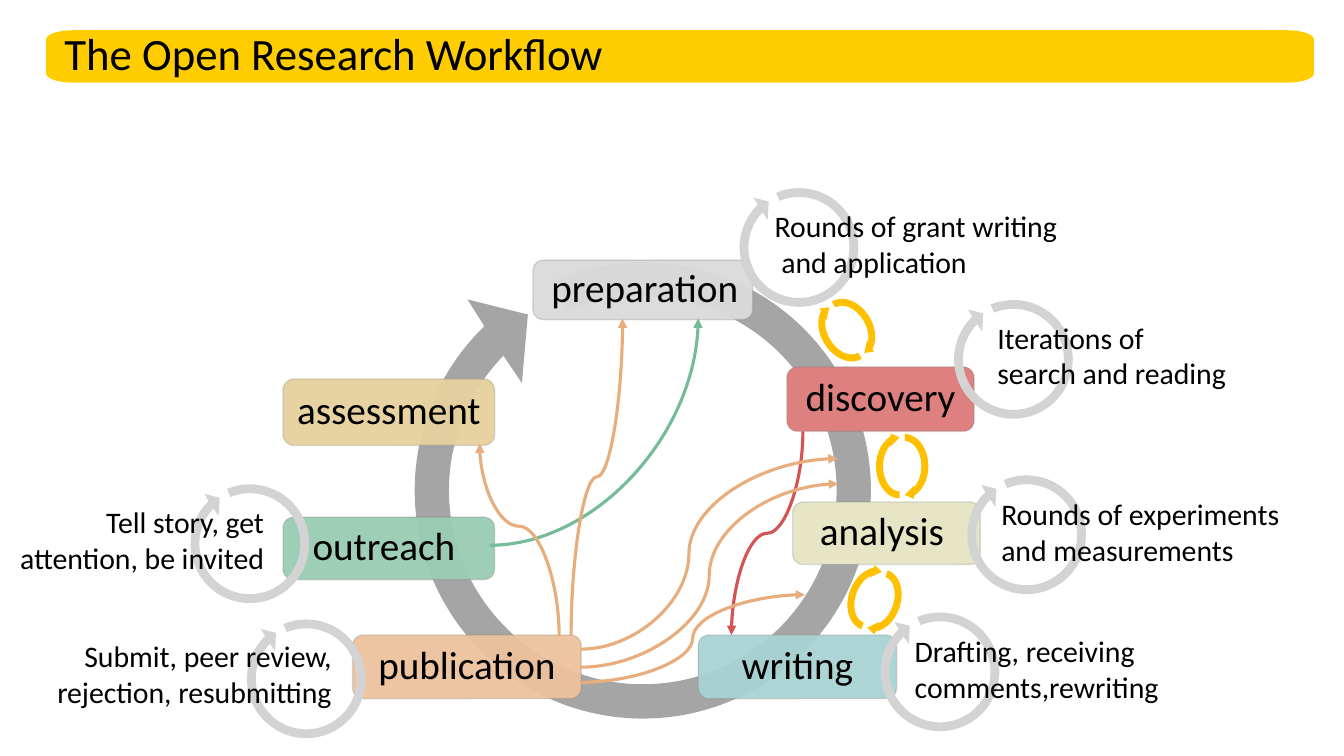
import math
import pptx
import pptx.util
import pptx.dml.color
import pptx.enum.shapes
import pptx.enum.text
import pptx.oxml.ns
import lxml.etree

Pt = pptx.util.Pt
ALIGN = pptx.enum.text.PP_ALIGN
ANCHOR = pptx.enum.text.MSO_ANCHOR
FONT = "Calibri"

TITLE = "The Open Research Workflow"
BANNER = (33, 21.6, 906, 37.4)
BANNER_CORNER = (18.7, 6.5)
STAGES = [
    ("preparation", (380.9, 185.8, 157, 42.5), "DBDBDB", 95, 1.4),
    ("discovery", (562.3, 262.1, 133.9, 46.1), "DF8080", 100, 0),
    ("analysis", (566.6, 358.6, 133.9, 44.6), "E6E6C7", 100, -3.2),
    ("writing", (499, 453.6, 141.8, 45.4), "A9D3D3", 95, 0),
    ("publication", (252, 453.6, 163.4, 45.4), "EDC29E", 95, 0),
    ("outreach", (202.3, 369.4, 151.2, 44.6), "99CCB3", 95, -3.6),
    ("assessment", (202.3, 270.7, 151.2, 47.5), "E6D19E", 95, 0),
]
LABEL_LIFT = 2.2
NOTE_HEIGHT = 65.5
NOTES = [
    (["Rounds of grant writing", " and application"], (546.5, 144.7, 254), ALIGN.LEFT, (571, 176.8)),
    (["Iterations of", "search and reading"], (705.6, 224.6, 209), ALIGN.LEFT, (724.3, 256.7)),
    (["Rounds of experiments and measurements"], (708.5, 350.6, 244), ALIGN.LEFT, (733.7, 382)),
    (["Drafting, receiving comments,rewriting"], (646.6, 448.6, 226.8), ALIGN.LEFT, (671.8, 479.9)),
    (["Submit, peer review, rejection, resubmitting"], (5.8, 452.2, 238.3), ALIGN.RIGHT, (218.9, 484.9)),
    (["Tell story, get attention, be invited"], (0, 356.4, 195.8), ALIGN.RIGHT, (178.6, 388.4)),
]
CYCLE_CENTER = (459.4, 350.3)
EXCHANGES = [((605.2, 235.8), -32.3), ((644.8, 333), 0), ((625, 428.4), 19.7)]
GREEN, RED, ORANGE = "76BB98", "D45454", "E7AD7D"
FLOWS = [
    ((349.9, 389.5), (499, 227.5), GREEN, "bend", None),
    ((573.8, 308.2), (522.7, 453.6), RED, "vertical", 0.5),
    ((414.7, 476.6), (599, 345.6), ORANGE, "horizontal", 0.5),
    ((415.4, 463.7), (598.7, 327.6), ORANGE, "horizontal", 0.42),
    ((408.2, 453.6), (445, 227.5), ORANGE, "vertical", 0.5),
    ((399.6, 454.3), (342.7, 316.8), ORANGE, "vertical", 0.57),
    ((414.7, 487.4), (575.3, 424.8), ORANGE, "horizontal", 0.5),
]


def color(hex_value):
    return pptx.dml.color.RGBColor.from_string(hex_value)


def apply(target, formats):
    for name, value in formats.items():
        setattr(target, name, value)


def add_xml(parent, tag, **attributes):
    return lxml.etree.SubElement(parent, pptx.oxml.ns.qn(tag), attributes)


def set_alpha(shape_color, percent):
    add_xml(shape_color, "a:alpha", val=str(percent * 1000))


def paint(shape, fill):
    shape.shadow.inherit = False
    shape.fill.solid()
    shape.fill.fore_color.rgb = color(fill)
    shape.line.fill.background()


def write(shape, lines, size, align, frame_format, paragraph_format=None):
    frame = shape.text_frame
    apply(frame, {"word_wrap": True, **frame_format})
    for index, line in enumerate(lines):
        paragraph = frame.add_paragraph() if index else frame.paragraphs[0]
        paragraph.text = line
        apply(paragraph, {"alignment": align, **(paragraph_format or {})})
        apply(paragraph.font, {"name": FONT, "size": Pt(size), "bold": False})
        paragraph.font.color.rgb = color("000000")


def arc(center, radii, start, end):
    pieces = math.ceil(abs(end - start) / 90)
    step = math.radians((end - start) / pieces)
    pull = 4 / 3 * math.tan(step / 4)

    def at(angle, tangent, curved=True):
        c, s = math.cos(angle), math.sin(angle)
        return (center[0] + radii[0] * (c - tangent * s),
                center[1] + radii[1] * (s + tangent * c), curved)

    begin = math.radians(start)
    points = [at(begin, 0, False)]
    for piece in range(pieces):
        a = begin + piece * step
        points += [at(a, pull), at(a + step, -pull), at(a + step, 0)]
    return points


def arrow_outline(outer, inner, outer_span, inner_span, head):
    head_points = [(x, y, False) for x, y in head]
    return arc((0, 0), outer, *outer_span) + head_points + arc((0, 0), inner, *inner_span)


def place(points, center, turn=0):
    c, s = math.cos(math.radians(turn)), math.sin(math.radians(turn))
    return [(center[0] + x * c - y * s, center[1] + x * s + y * c, curved) for x, y, curved in points]


def draw_outline(points, fill):
    corners = [(Pt(x), Pt(y)) for x, y, curved in points]
    builder = slide.shapes.build_freeform(*corners[0], scale=1.0)
    builder.add_line_segments(corners[1:], close=False)
    outline = builder.convert_to_shape()
    paint(outline, fill)
    route = outline.element.spPr.xpath(".//a:path")[0]
    segments = route.xpath("./a:lnTo")
    bends = [segment for segment, point in zip(segments, points[1:]) if point[2]]
    for first in range(0, len(bends), 3):
        curve = add_xml(route, "a:cubicBezTo")
        bends[first].addprevious(curve)
        for bend in bends[first:first + 3]:
            curve.append(bend[0])
            route.remove(bend)
    add_xml(route, "a:close")


def draw_flow(start, end, stroke, route, bend):
    dx, dy = end[0] - start[0], end[1] - start[1]
    turn = 0
    if route == "vertical":
        turn = 90 if dy > 0 else 270
        dx, dy = abs(dy), -dx if dy > 0 else dx
    mid_x, mid_y = (start[0] + end[0]) / 2, (start[1] + end[1]) / 2
    flow = slide.shapes.add_connector(
        pptx.enum.shapes.MSO_CONNECTOR.CURVE,
        Pt(mid_x - dx / 2), Pt(mid_y - dy / 2), Pt(mid_x + dx / 2), Pt(mid_y + dy / 2))
    flow.line.color.rgb = color(stroke)
    flow.line.width = Pt(2.25)
    properties = flow.element.spPr
    properties.xpath("./a:xfrm")[0].set("rot", str(turn * 60000))
    geometry = properties.xpath("./a:prstGeom")[0]
    if route == "bend":
        geometry.set("prst", "curvedConnector2")
    else:
        adjustments = geometry.xpath("./a:avLst")[0]
        add_xml(adjustments, "a:gd", name="adj1", fmla=f"val {round(bend * 100000)}")
    add_xml(properties.xpath("./a:ln")[0], "a:tailEnd", type="triangle")
    add_xml(properties, "a:effectLst")


presentation = pptx.Presentation()
apply(presentation, {"slide_width": Pt(960.5), "slide_height": Pt(540)})
slide = presentation.slides.add_slide(presentation.slide_layouts[5])

LOOP_SPANS = ((247.3, 586), (584, 247.5))
cycle = arrow_outline((163, 163), (138.5, 138.5), *LOOP_SPANS,
                      [(-125.3, -136.4), (-82.1, -125.6), (-86.4, -76.7)])
iteration = arrow_outline((42.4, 42.4), (36.1, 36.1), *LOOP_SPANS,
                          [(-32.4, -35.6), (-21.6, -32.8), (-22.3, -19.8)])
half = arrow_outline((16.9, 23), (11.9, 18), (90, 247.5), (237, 90),
                     [(-6.5, -23.4), (0, -20.5), (-6.5, -14)])
half = place(half, (-1.8, 0))

draw_outline(place(cycle, CYCLE_CENTER), "A5A5A5")

for label, box, fill, opacity, shift in STAGES:
    stage = slide.shapes.add_shape(pptx.enum.shapes.MSO_SHAPE.ROUNDED_RECTANGLE, *map(Pt, box))
    paint(stage, fill)
    stage.line.color.rgb = color("7B7B7B")
    stage.line.width = Pt(1)
    fill_color, line_color = stage.element.spPr.xpath(".//a:srgbClr")
    set_alpha(fill_color, opacity)
    set_alpha(line_color, 25)
    write(stage, [label], 28, ALIGN.CENTER, {
        "vertical_anchor": ANCHOR.MIDDLE,
        "margin_left": Pt(max(2 * shift, 0)), "margin_right": Pt(max(-2 * shift, 0)),
        "margin_top": 0, "margin_bottom": Pt(2 * LABEL_LIFT)})

for lines, spot, align, loop_center in NOTES:
    draw_outline(place(iteration, loop_center), "D3D3D3")
for lines, spot, align, loop_center in NOTES:
    note = slide.shapes.add_textbox(*map(Pt, spot), Pt(NOTE_HEIGHT))
    write(note, lines, 21.3, align, {"margin_left": Pt(7.2), "margin_right": Pt(7.2)})

for center, turn in EXCHANGES:
    for half_turn in (0, 180):
        draw_outline(place(half, center, turn + half_turn), "FFC000")

for flow_route in FLOWS:
    draw_flow(*flow_route)

left, top, width, height = BANNER
corner_x, corner_y = BANNER_CORNER
banner = []
for quarter, (right_side, bottom_side) in enumerate([(0, 0), (1, 0), (1, 1), (0, 1)]):
    corner = (left + (width - corner_x if right_side else corner_x),
              top + (height - corner_y if bottom_side else corner_y))
    banner += arc(corner, BANNER_CORNER, 180 + 90 * quarter, 270 + 90 * quarter)
draw_outline(banner, "FFCD00")

title = slide.shapes.title
apply(title, dict(zip(("left", "top", "width", "height"), map(Pt, BANNER))))
write(title, [TITLE], 32, ALIGN.LEFT, {
    "auto_size": pptx.enum.text.MSO_AUTO_SIZE.NONE, "vertical_anchor": ANCHOR.MIDDLE,
    "margin_left": Pt(13), "margin_right": Pt(13), "margin_top": Pt(2), "margin_bottom": Pt(2)},
    {"line_spacing": 0.9})
slide.shapes.element.append(title.element)

presentation.save("out.pptx")
